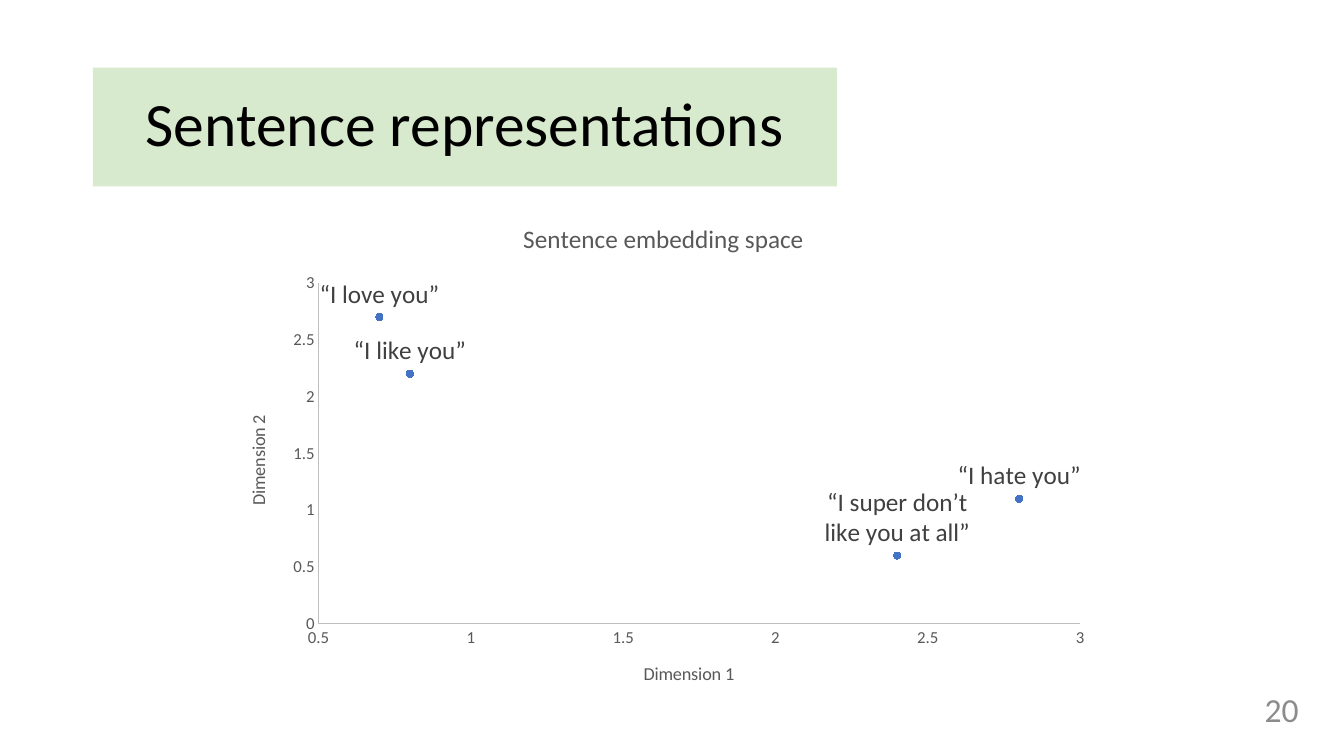
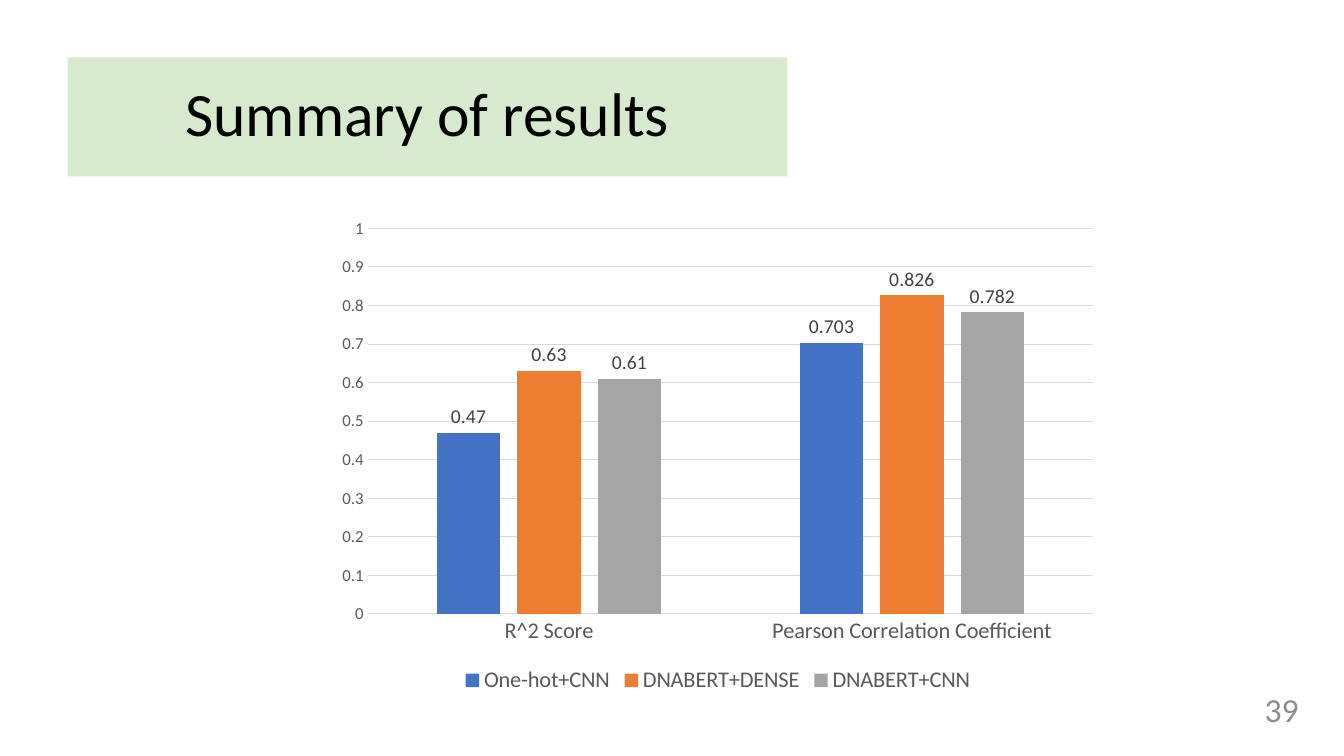
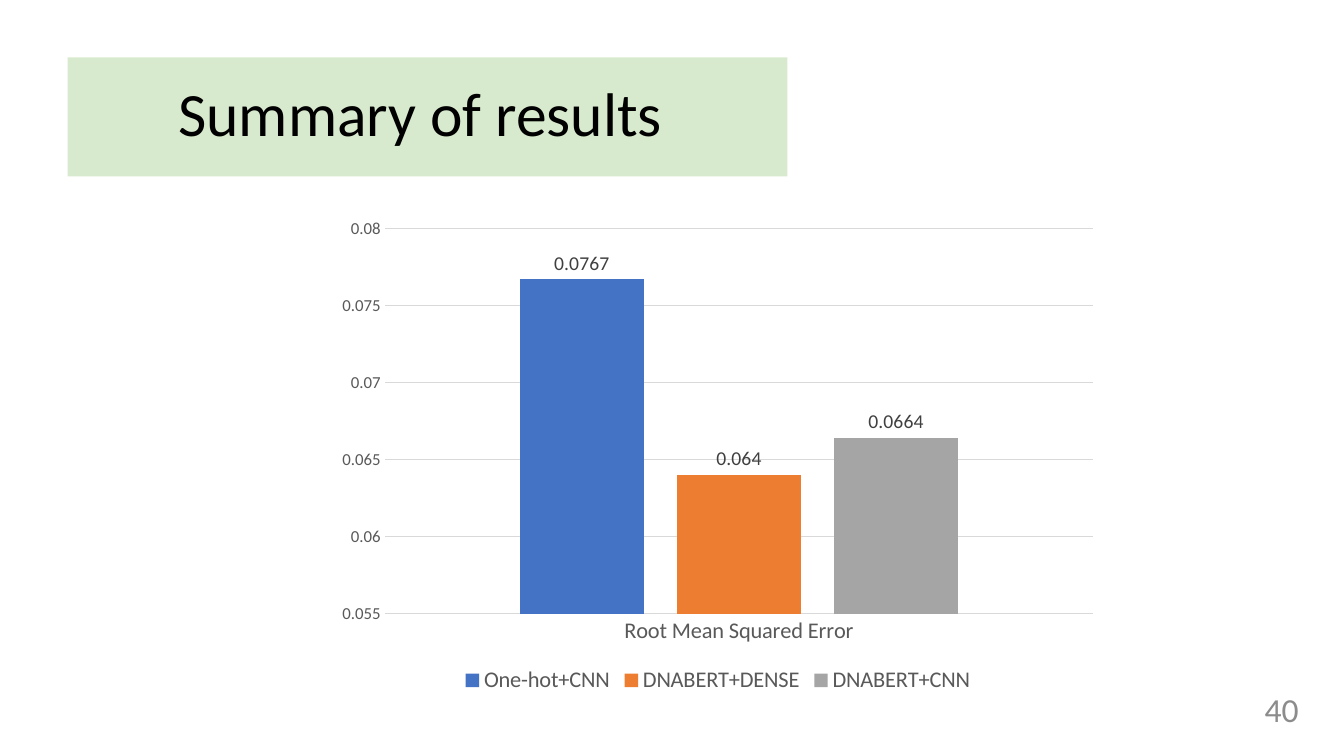
"""Builds three chart slides on sentence embeddings and model results."""
from pptx import Presentation
from pptx.chart.data import CategoryChartData, XyChartData
from pptx.dml.color import RGBColor
from pptx.enum.chart import (XL_CHART_TYPE as CT, XL_LABEL_POSITION as LP,
                             XL_LEGEND_POSITION as LG, XL_MARKER_STYLE as MS,
                             XL_TICK_MARK as TM)
from pptx.enum.text import MSO_ANCHOR, PP_ALIGN
from pptx.oxml.ns import qn
from pptx.util import Inches, Pt
from lxml.etree import SubElement

FONT = "Calibri"
COLORS = {"band": "C5E0B4", "title": "000000", "number": "8C8C8C", "axis": "595959",
          "label": "404040", "grid": "D9D9D9", "axis_line": "BFBFBF",
          "blue": "4472C4", "orange": "ED7D31", "gray": "A5A5A5"}
BAND_ALPHA = 66
RESULT_BAND = (0.67, 0.57, 7.14, 1.18)
RESULT_CHART = (3.24, 2.07, 7.76, 4.86)
MODELS = [("One-hot+CNN", "blue"), ("DNABERT+DENSE", "orange"), ("DNABERT+CNN", "gray")]

EMBEDDING = {
    "title": "Sentence representations", "number": 20,
    "band": (0.92, 0.67, 7.38, 1.18), "chart": (2.23, 2, 8.7, 5.02),
    "heading": "Sentence embedding space",
    "axes": [("Dimension 1", (0.5, 3, 0.5)), ("Dimension 2", (0, 3, 0.5))],
    "points": [(0.7, 2.7, "“I love you”"), (0.8, 2.2, "“I like you”"),
               (2.4, 0.6, "“I super don’t like you at all”"), (2.8, 1.1, "“I hate you”")],
}
RESULTS = [
    {"title": "Summary of results", "number": 39, "scale": (0, 1, 0.1),
     "categories": ["R^2 Score", "Pearson Correlation Coefficient"],
     "values": [(0.47, 0.703), (0.63, 0.826), (0.61, 0.782)]},
    {"title": "Summary of results ", "number": 40, "scale": (0.055, 0.08, 0.005),
     "categories": ["Root Mean Squared Error"],
     "values": [(0.0767,), (0.064,), (0.0664,)]},
]


def rgb(name):
    return RGBColor.from_string(COLORS[name])


def set_font(font, size, color):
    font.name, font.size, font.bold = FONT, Pt(size), False
    font.color.rgb = rgb(color)


def set_text(tf, text, size, color, align):
    tf.word_wrap = True
    tf.vertical_anchor = MSO_ANCHOR.MIDDLE
    tf.text = text
    p = tf.paragraphs[0]
    p.alignment = align
    set_font(p.font, size, color)
    return p


def add_slide(prs, title, number, band):
    s = prs.slides.add_slide(prs.slide_layouts[5])
    sp = s.shapes.title
    sp.left, sp.top, sp.width, sp.height = map(Inches, band)
    sp.fill.solid()
    sp.fill.fore_color.rgb = rgb("band")
    color = sp.fill._xPr.find(".//" + qn("a:srgbClr"))
    SubElement(color, qn("a:alpha"), val=str(BAND_ALPHA * 1000))
    p = set_text(sp.text_frame, title, 44, "title", PP_ALIGN.CENTER)
    p.line_spacing = 0.9
    box = s.shapes.add_textbox(*map(Inches, (9.98, 6.83, 3, 0.4)))
    set_text(box.text_frame, str(number), 24, "number", PP_ALIGN.RIGHT)
    return s


def add_chart(s, kind, box, data):
    chart = s.shapes.add_chart(kind, *map(Inches, box), data).chart
    set_font(chart.font, 10, "title")
    chart.has_title = chart.has_legend = False
    chart.plots[0].vary_by_categories = False
    return chart


def style_axis(axis, size, line=None, scale=None):
    axis.major_tick_mark = axis.minor_tick_mark = TM.NONE
    axis.has_major_gridlines = False
    set_font(axis.tick_labels.font, size, "axis")
    if line:
        axis.format.line.color.rgb = rgb(line)
        axis.format.line.width = Pt(0.75)
    else:
        axis.format.line.fill.background()
    if scale:
        axis.minimum_scale, axis.maximum_scale, axis.major_unit = scale


def set_chart_text(tf, text, size, color):
    r = tf.paragraphs[0].add_run()
    r.text = text
    set_font(r.font, size, color)


def add_embedding_slide(prs, spec_):
    s = add_slide(prs, spec_["title"], spec_["number"], spec_["band"])
    data = XyChartData()
    cloud = data.add_series("Series 1")
    for x, y, _ in spec_["points"]:
        cloud.add_data_point(x, y)
    chart = add_chart(s, CT.XY_SCATTER, spec_["chart"], data)
    chart.has_title = True
    set_chart_text(chart.chart_title.text_frame, spec_["heading"], 18, "axis")
    for axis, (name, scale) in zip((chart.category_axis, chart.value_axis), spec_["axes"]):
        style_axis(axis, 12, "axis_line", scale)
        set_chart_text(axis.axis_title.text_frame, name, 13, "axis")
    body = chart.value_axis.axis_title.text_frame._txBody.find(qn("a:bodyPr"))
    body.set("rot", "-5400000")
    body.set("vert", "horz")

    series = chart.plots[0].series[0]
    series.format.line.fill.background()
    series.marker.style, series.marker.size = MS.CIRCLE, 5
    series.marker.format.fill.solid()
    series.marker.format.fill.fore_color.rgb = rgb("blue")
    series.marker.format.line.color.rgb = rgb("blue")
    for i, (_, _, sentence) in enumerate(spec_["points"]):
        label = series.points[i].data_label
        set_chart_text(label.text_frame, sentence, 18, "label")
        label.position = LP.ABOVE


def add_result_slide(prs, result):
    s = add_slide(prs, result["title"], result["number"], RESULT_BAND)
    data = CategoryChartData()
    data.categories = result["categories"]
    for (name, _), values in zip(MODELS, result["values"]):
        data.add_series(name, values)
    chart = add_chart(s, CT.COLUMN_CLUSTERED, RESULT_CHART, data)
    style_axis(chart.category_axis, 16, "grid")
    style_axis(chart.value_axis, 12, scale=result["scale"])
    chart.value_axis.has_major_gridlines = True
    grid = chart.value_axis.major_gridlines.format.line
    grid.color.rgb, grid.width = rgb("grid"), Pt(0.75)
    chart.has_legend = True
    chart.legend.position, chart.legend.include_in_layout = LG.BOTTOM, False
    set_font(chart.legend.font, 16, "axis")

    plot = chart.plots[0]
    plot.gap_width, plot.overlap = 219, -27
    for series, (_, color) in zip(plot.series, MODELS):
        series.format.fill.solid()
        series.format.fill.fore_color.rgb = rgb(color)
        labels = series.data_labels
        labels.show_value, labels.position = True, LP.OUTSIDE_END
        set_font(labels.font, 14, "label")


def main():
    prs = Presentation()
    prs.slide_width, prs.slide_height = Inches(13.33), Inches(7.5)
    add_embedding_slide(prs, EMBEDDING)
    for result in RESULTS:
        add_result_slide(prs, result)
    prs.save("out.pptx")


if __name__ == "__main__":
    main()
